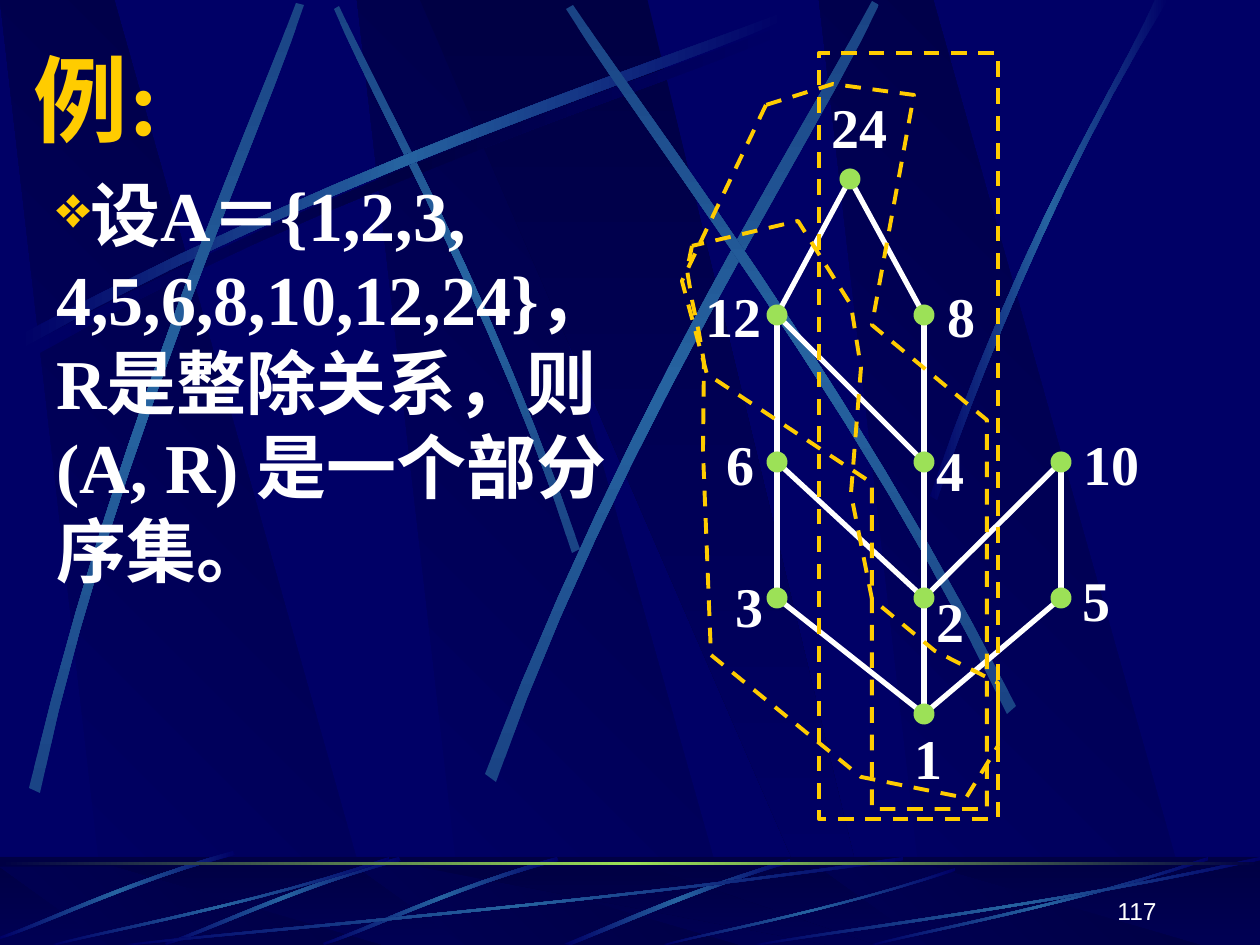
"""Build a slide that shows the divisibility order on a set as a Hasse diagram."""
from lxml.etree import SubElement
from pptx import Presentation
from pptx.dml.color import RGBColor
from pptx.enum.dml import MSO_LINE
from pptx.enum.shapes import MSO_CONNECTOR, MSO_SHAPE
from pptx.enum.text import MSO_ANCHOR as ANCHOR, PP_ALIGN as ALIGN
from pptx.oxml import parse_xml
from pptx.oxml.ns import nsdecls, qn
from pptx.util import Emu, Pt

SCALE = 914400 / 126
WIDTH, HEIGHT = 1260, 945
NAVY, DARK, STEEL, DIM = "000066", "000044", "2663A0", "1A4485"
WHITE, GOLD, GREEN = "FFFFFF", "FFCC00", "9CE157"
GLOW, SHADE, STEADY = (NAVY, STEEL, NAVY), (NAVY, DARK, NAVY), (DIM, STEEL, DIM)

TITLE = "例:"
BODY = "设A＝{1,2,3, 4,5,6,8,10,12,24}，R是整除关系，则(A, R) 是一个部分序集。"
PAGE_NUMBER = "117"

PANEL = [(0.285, 1), (1, 1), (0.3, 0), (0, 0)]
SHARD = [(0, 0), (0.9, 1), (1, 1), (0.5, 0)]
PANEL_LEFTS = [357, 0, 819]

SWEEP = [(18, 336), (350, 158), (653, 64), (781, 13), (785, 20), (658, 77), (312, 180), (21, 349)]
STREAKS = [
    ([(x + 8, y + 10) for x, y in SWEEP], SHADE, 0),
    ([(580, 549), (493, 295), (381, 97), (339, 6), (334, 9), (372, 100), (501, 325), (572, 553)], STEADY, 90),
    (SWEEP, GLOW, 0),
    ([(29, 788), (117, 421), (248, 132), (296, 3), (304, 5), (261, 137), (108, 464), (40, 793)], STEADY, 90),
    ([(485, 774), (627, 403), (804, 129), (872, 1), (879, 5), (818, 136), (612, 447), (496, 782)], STEADY, 90),
    ([(1016, 706), (844, 369), (650, 120), (573, 5), (566, 9), (639, 127), (863, 410), (1007, 714)], STEADY, 90),
    ([(930, 496), (1026, 218), (1119, 83), (1155, 0), (1168, 0), (1053, 183), (969, 406), (937, 500)], GLOW, 0),
]
RISE = [(557, 857), (447, 888), (362, 930), (323, 943), (324, 945), (363, 934), (460, 886), (559, 861)]
RISE_OFFSETS = [(0, 0), (-158, 0), (-324, -6)]
FOOT_STREAK = [(790, 859), (677, 893), (601, 930), (564, 944), (571, 945), (617, 927), (719, 882), (791, 863)]
ARC = [(1, 0.04), (0.57, 0.57), (0.17, 0.85), (0.01, 1), (0, 0.99), (0.17, 0.81), (0.62, 0.51), (1, 0)]
ARC_BOXES = [(126, 857, 777, 88), (53, 857, 336, 88), (664, 868, 291, 77), (872, 857, 336, 88), (756, 857, 504, 88)]

NODES = {
    "24": ((850, 179), (819, 73)),
    "12": ((777, 315), (693, 262)),
    "8": ((924, 315), (935, 262)),
    "6": ((777, 462), (714, 410)),
    "4": ((924, 462), (924, 416)),
    "10": ((1061, 462), (1071, 410)),
    "3": ((777, 598), (723, 552)),
    "2": ((924, 598), (924, 567)),
    "5": ((1061, 598), (1070, 546)),
    "1": ((924, 714), (902, 704)),
}
EDGES = [("12", "4"), ("10", "2"), ("6", "2"), ("24", "8"), ("24", "12"),
         ("10", "5"), ("8", "1"), ("5", "1"), ("1", "3"), ("12", "3")]
DOT = 21
CHAIN_FRAME = (819, 53, 179, 766)
LOOPS = [
    [(692, 246), (687, 270), (692, 300), (699, 333), (704, 362), (703, 451), (711, 655),
     (861, 777), (966, 798), (998, 746), (998, 683), (935, 651), (872, 599), (851, 494),
     (861, 368), (851, 305), (798, 221)],
    [(766, 105), (682, 281), (707, 374), (872, 483), (872, 809), (987, 809), (987, 420),
     (872, 325), (914, 95), (833, 84)],
]


def px(*values):
    return [Emu(round(value * SCALE)) for value in values]


def color(code):
    return RGBColor.from_string(code)


def fit(points, left, top, width, height):
    return [(left + x * width, top + y * height) for x, y in points]


def bezier(start, first, second, end, steps=12):
    points = []
    for step in range(steps + 1):
        t = step / steps
        weights = ((1 - t) ** 3, 3 * t * (1 - t) ** 2, 3 * t * t * (1 - t), t ** 3)
        points.append(tuple(sum(w * p[axis] for w, p in zip(weights, (start, first, second, end)))
                            for axis in (0, 1)))
    return points


def outline(points):
    corners = [tuple(px(*point)) for point in points]
    builder = page.shapes.build_freeform(*corners[0])
    builder.add_line_segments(corners[1:], close=True)
    shape = builder.convert_to_shape()
    shape.shadow.inherit = False
    return shape


def preset(kind, *place):
    shape = page.shapes.add_shape(kind, *px(*place))
    shape.shadow.inherit = False
    return shape


def solid(shape, code):
    shape.fill.solid()
    shape.fill.fore_color.rgb = color(code)
    shape.line.fill.background()


def shade(shape, codes, angle):
    stops = "".join(f'<a:gs pos="{100000 * i // (len(codes) - 1)}"><a:srgbClr val="{code}"/></a:gs>'
                    for i, code in enumerate(codes))
    shape.line.fill.background()
    geometry = shape._element.spPr.find(qn("a:custGeom"))
    if geometry is None:
        geometry = shape._element.spPr.find(qn("a:prstGeom"))
    geometry.addnext(parse_xml(f'<a:gradFill {nsdecls("a")} rotWithShape="1"><a:gsLst>{stops}</a:gsLst>'
                               f'<a:lin ang="{angle * 60000}" scaled="0"/></a:gradFill>'))


def streak(points, codes=GLOW, angle=0):
    shade(outline(bezier(*points[:4]) + bezier(*points[4:])), codes, angle)


def dash(shape):
    shape.fill.background()
    shape.line.color.rgb = color(GOLD)
    shape.line.width = Pt(2.25)
    shape.line.dash_style = MSO_LINE.DASH


def write(box, text, size, code=WHITE, font="Times New Roman", bold=True, wrap=True,
          anchor=ANCHOR.TOP, align=ALIGN.LEFT, spacing=None, before=0):
    frame = box.text_frame
    frame.word_wrap = wrap
    frame.vertical_anchor = anchor
    para = frame.paragraphs[0]
    para.alignment = align
    para.space_before = Pt(before)
    para.line_spacing = spacing
    span = para.add_run()
    span.text = text
    span.font.size, span.font.bold, span.font.name = Pt(size), bold, font
    span.font.color.rgb = color(code)
    SubElement(span._r.rPr, qn("a:ea")).set("typeface", "Noto Sans CJK SC")
    return para


def text_box(text, place, size, **style):
    return write(page.shapes.add_textbox(*px(*place)), text, size, **style)


def draw_backdrop():
    page.background.fill.solid()
    page.background.fill.fore_color.rgb = color(NAVY)
    for top, height in ((0, HEIGHT), (867, HEIGHT - 867)):
        if top:
            shade(preset(MSO_SHAPE.RECTANGLE, 0, 857, WIDTH, 88), (DARK, NAVY), 90)
        for left in PANEL_LEFTS:
            shade(outline(fit(PANEL, left, top, 381, height)), (NAVY, DARK), 315)
        shade(outline(fit(SHARD, 420, top, 455, height)), (DARK, NAVY), 90)
        if not top:
            for points, codes, angle in STREAKS:
                streak(points, codes, angle)
    veil = preset(MSO_SHAPE.RECTANGLE, 0, 857, WIDTH, 88)
    solid(veil, DARK)
    SubElement(veil._element.spPr.find(qn("a:solidFill"))[0], qn("a:alpha")).set("val", "50000")
    streak(FOOT_STREAK)
    for right, down in RISE_OFFSETS:
        streak([(x + right, y + down) for x, y in RISE])
    for place in ARC_BOXES:
        streak(fit(ARC, *place))
    shade(preset(MSO_SHAPE.RECTANGLE, 0, 862, WIDTH, 3), (DARK, GREEN, DARK), 0)


def draw_diagram():
    for start, end in EDGES:
        edge = page.shapes.add_connector(MSO_CONNECTOR.STRAIGHT, *px(*NODES[start][0], *NODES[end][0]))
        edge.line.color.rgb = color(WHITE)
        edge.line.width = Pt(3)
        SubElement(edge._element.spPr, qn("a:effectLst"))
    for label, ((x, y), corner) in NODES.items():
        solid(preset(MSO_SHAPE.OVAL, x - DOT / 2, y - DOT / 2, DOT, DOT), GREEN)
        text_box(label, (*corner, 24 + 29 * len(label), 93), 32, wrap=False, spacing=1.2, before=3.2)
    dash(preset(MSO_SHAPE.RECTANGLE, *CHAIN_FRAME))
    for loop in LOOPS:
        dash(outline(loop))


deck = Presentation()
deck.slide_width, deck.slide_height = px(WIDTH, HEIGHT)
page = deck.slides.add_slide(deck.slide_layouts[5])
draw_backdrop()
title = page.shapes.title
title.left, title.top, title.width, title.height = px(21, 35, 1197, 126)
write(title, TITLE, 54, code=GOLD, anchor=ANCHOR.MIDDLE)
page.shapes._spTree.append(title._element)
body = text_box(BODY, (44, 165, 588, 714), 40, spacing=Pt(48), before=4)
bullet = body._p.get_or_add_pPr()
SubElement(SubElement(bullet, qn("a:buClr")), qn("a:srgbClr")).set("val", GOLD)
SubElement(bullet, qn("a:buSzPct")).set("val", "85000")
SubElement(bullet, qn("a:buChar")).set("char", "❖")
draw_diagram()
text_box(PAGE_NUMBER, (907, 869, 262, 63), 14, font="Arial", bold=False, anchor=ANCHOR.BOTTOM, align=ALIGN.RIGHT)
deck.save("out.pptx")
